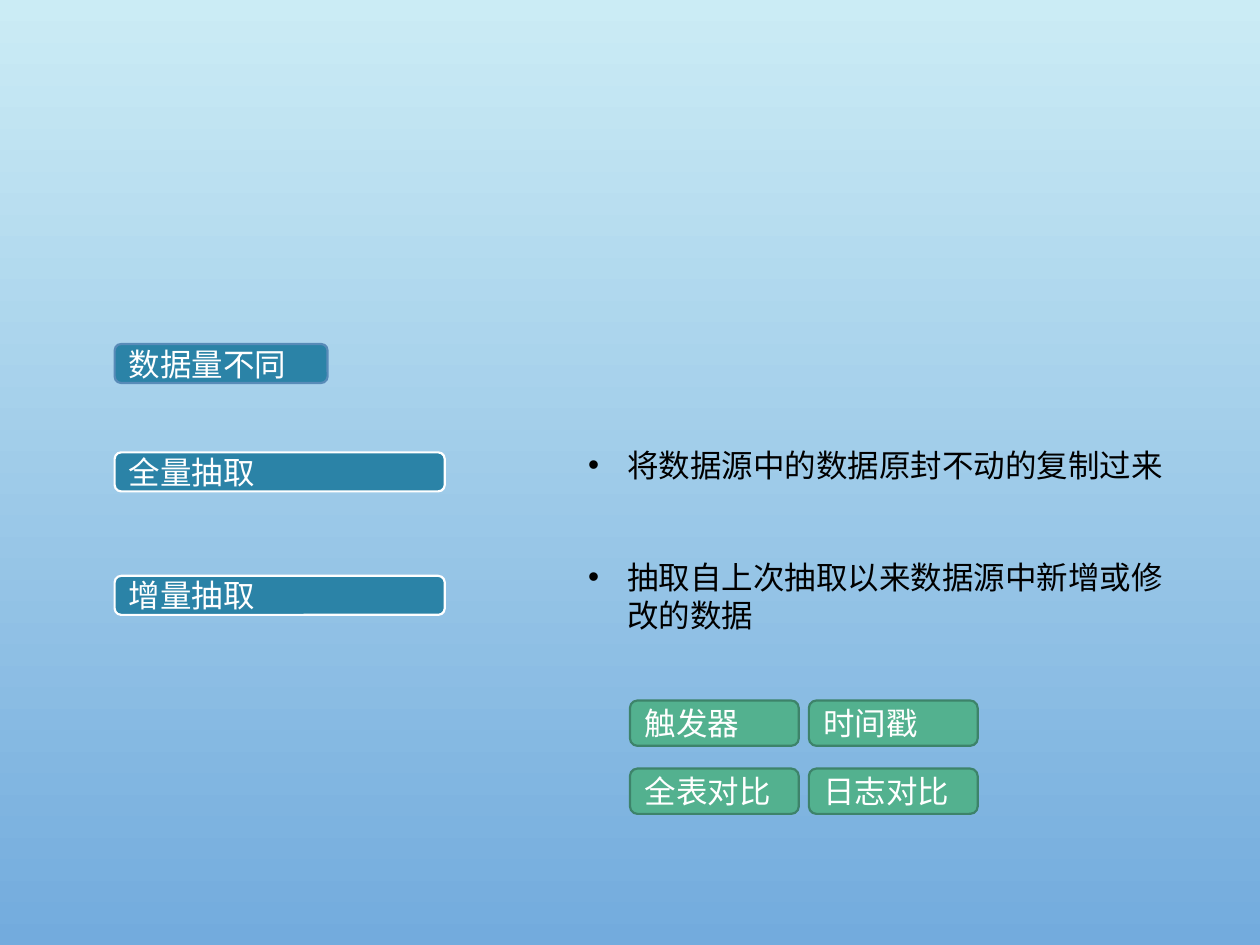
from lxml import etree
from pptx import Presentation
from pptx.dml.color import RGBColor
from pptx.enum import shapes, text
from pptx.oxml import ns
from pptx.util import Inches, Pt

COLORS = {
    "sky_top": "CBECF5", "sky_bottom": "73ABDD",
    "blue": "2B83A7", "blue_line": "588BB8",
    "green": "53B18F", "green_line": "3D836A",
    "white": "FFFFFF", "black": "000000",
}


def set_font(p, color):
    for r in p.runs:
        r.font.name = "Calibri"
        r.font.size = Pt(18)
        r.font.color.rgb = RGBColor.from_string(COLORS[color])


def add_label(s, label, x, y, w, h, fill, line):
    sp = s.shapes.add_shape(shapes.MSO_SHAPE.ROUNDED_RECTANGLE,
                            Inches(x), Inches(y), Inches(w), Inches(h))
    sp.shadow.inherit = False
    sp.fill.solid()
    sp.fill.fore_color.rgb = RGBColor.from_string(COLORS[fill])
    sp.line.color.rgb = RGBColor.from_string(COLORS[line])
    sp.line.width = Pt(1.25)
    tf = sp.text_frame
    tf.text = label
    tf.vertical_anchor = text.MSO_ANCHOR.MIDDLE
    p = tf.paragraphs[0]
    p.alignment = text.PP_ALIGN.LEFT
    set_font(p, "white")


prs = Presentation()
prs.slide_width, prs.slide_height = Inches(10), Inches(7.5)
s = prs.slides.add_slide(prs.slide_layouts[6])

bg = s.background.fill
bg.gradient()
bg.gradient_angle = 270
for stop, position, name in zip(bg.gradient_stops, (0, 1), ("sky_top", "sky_bottom")):
    stop.position = position
    stop.color.rgb = RGBColor.from_string(COLORS[name])

for label, y, w, line in [
    ("数据量不同", 2.73, 1.69, "blue_line"),
    ("全量抽取", 3.59, 2.62, "white"),
    ("增量抽取", 4.57, 2.62, "white"),
]:
    add_label(s, label, 0.91, y, w, 0.31, "blue", line)

for description, y, w, h in [
    ("将数据源中的数据原封不动的复制过来", 3.49, 4.96, 0.4),
    ("抽取自上次抽取以来数据源中新增或修改的数据", 4.38, 4.79, 0.71),
]:
    sp = s.shapes.add_textbox(Inches(4.57), Inches(y), Inches(w), Inches(h))
    tf = sp.text_frame
    tf.word_wrap = True
    tf.auto_size = text.MSO_AUTO_SIZE.SHAPE_TO_FIT_TEXT
    tf.text = description
    p = tf.paragraphs[0]
    pPr = p._p.get_or_add_pPr()
    pPr.set("marL", str(Inches(0.31)))
    pPr.set("indent", str(Inches(-0.31)))
    etree.SubElement(pPr, ns.qn("a:buFont")).set("typeface", "Arial")
    etree.SubElement(pPr, ns.qn("a:buChar")).set("char", "•")
    set_font(p, "black")

for i, method in enumerate(["触发器", "时间戳", "全表对比", "日志对比"]):
    row, col = divmod(i, 2)
    add_label(s, method, 5 + col * 1.42, 5.56 + row * 0.54, 1.34, 0.36,
              "green", "green_line")

prs.save("out.pptx")
